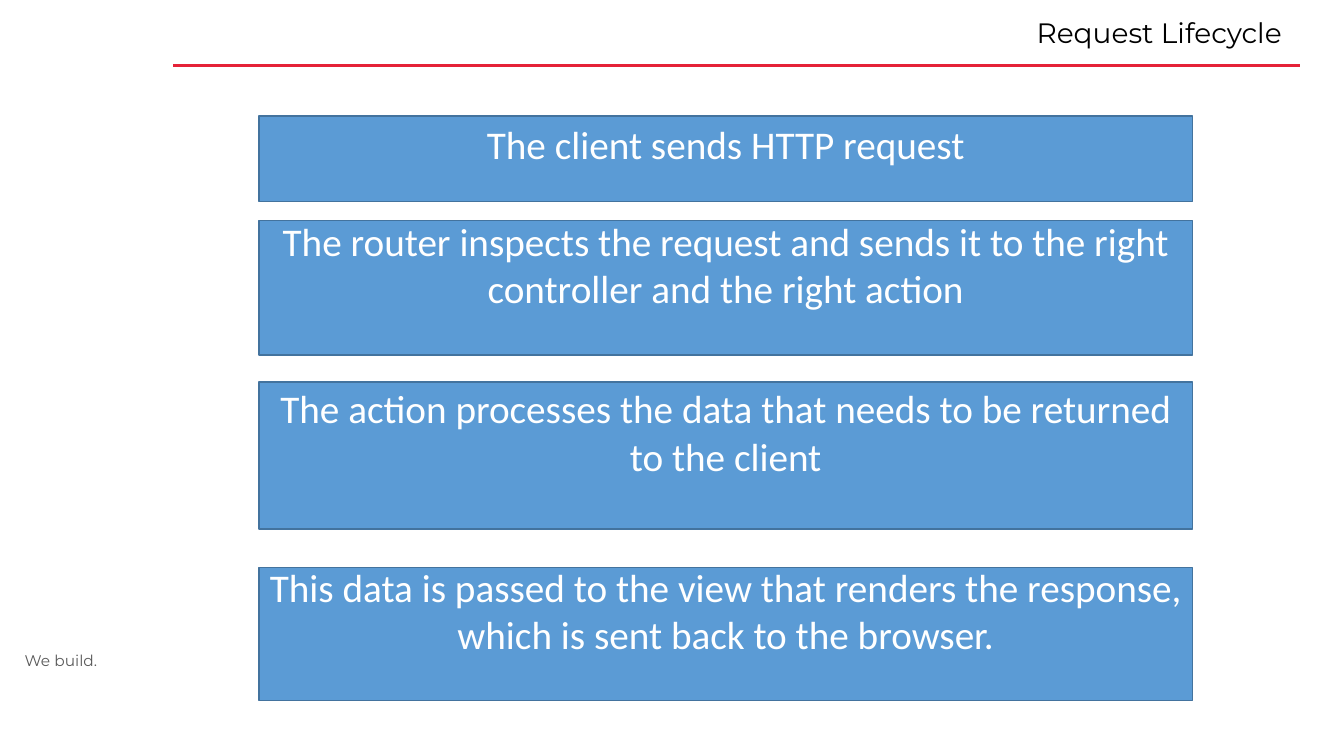
from dataclasses import dataclass

from pptx import Presentation
from pptx.dml.color import RGBColor
from pptx.enum.shapes import MSO_CONNECTOR, MSO_SHAPE
from pptx.enum.text import MSO_ANCHOR, MSO_AUTO_SIZE, PP_ALIGN
from pptx.oxml import parse_xml
from pptx.oxml.ns import nsdecls
from pptx.util import Pt


@dataclass(frozen=True)
class Theme:
    white: str = "FFFFFF"
    black: str = "000000"
    grey: str = "595959"
    red: str = "E52238"
    blue: str = "5B9BD5"
    blue_edge: str = "43739E"
    heading_font: str = "Montserrat"
    body_font: str = "Calibri"
    title_size: float = 20
    step_size: float = 28
    tagline_size: float = 11


THEME = Theme()

# Text, top, height and the room kept free below the text
STEPS = [
    ("The client sends HTTP request", 82.8, 61.2, 22),
    ("The router inspects the request and sends it to the right "
     "controller and the right action", 157.7, 95.8, 34),
    ("The action processes the data that needs to be returned "
     "to the client", 272.9, 105.1, 34),
    ("This data is passed to the view that renders the response, "
     "which is sent back to the browser.", 405.4, 95, 34),
]


def write_text(sp, text, *, font, size, color, align=PP_ALIGN.CENTER,
               insets=(0, 0, 0, 0), line_spacing=None):
    """Fill a shape with one paragraph; insets are left, top, right, bottom."""
    tf = sp.text_frame
    tf.word_wrap = True
    tf.auto_size = MSO_AUTO_SIZE.NONE
    tf.vertical_anchor = MSO_ANCHOR.MIDDLE
    tf.margin_left, tf.margin_top, tf.margin_right, tf.margin_bottom = map(Pt, insets)
    p = tf.paragraphs[0]
    p.alignment = align
    if line_spacing:
        p.line_spacing = line_spacing
    r = p.add_run()
    r.text = text
    r.font.name = font
    r.font.size = Pt(size)
    r.font.color.rgb = RGBColor.from_string(color)


def add_box(s, left, top, width, height, fill, line):
    sp = s.shapes.add_shape(MSO_SHAPE.RECTANGLE, Pt(left), Pt(top), Pt(width), Pt(height))
    sp.shadow.inherit = False
    sp.fill.solid()
    sp.fill.fore_color.rgb = RGBColor.from_string(fill)
    sp.line.color.rgb = RGBColor.from_string(line)
    sp.line.width = Pt(1)
    return sp


def add_tagline(s, left, top, width, height):
    sp = add_box(s, left, top, width, height, THEME.white, THEME.white)
    write_text(sp, "We build.", font=THEME.heading_font,
               size=THEME.tagline_size, color=THEME.grey)


def add_header(s, left, top, width, height):
    """Set the right-aligned title above a rule along the bottom of the box."""
    rule_y = Pt(top + height)
    rule = s.shapes.add_connector(MSO_CONNECTOR.STRAIGHT, Pt(left), rule_y,
                                  Pt(left + width), rule_y)
    rule.line.color.rgb = RGBColor.from_string(THEME.red)
    rule.line.width = Pt(2.25)
    rule._element.spPr.append(parse_xml(f"<a:effectLst {nsdecls('a')}/>"))

    title = s.shapes.title
    title.left, title.top = Pt(left + 10), Pt(top)
    title.width, title.height = Pt(width - 16), Pt(height - 5.8)
    write_text(title, "Request Lifecycle", font=THEME.heading_font,
               size=THEME.title_size, color=THEME.black, align=PP_ALIGN.RIGHT,
               insets=(7.2, 3.6, 7.2, 3.6), line_spacing=0.9)


def add_steps(s, left, width):
    for text, top, height, room_below in STEPS:
        sp = add_box(s, left, top, width, height, THEME.blue, THEME.blue_edge)
        write_text(sp, text, font=THEME.body_font, size=THEME.step_size,
                   color=THEME.white, insets=(7.2, 0, 7.2, room_below))


def main():
    prs = Presentation()
    prs.slide_width, prs.slide_height = Pt(960), Pt(540)
    s = prs.slides.add_slide(prs.slide_layouts[5])
    add_tagline(s, 11.5, 460.8, 64.1, 22.3)
    add_header(s, 123.8, 7.9, 805, 38.9)
    add_steps(s, 185, 666.7)
    prs.save("out.pptx")


if __name__ == "__main__":
    main()
